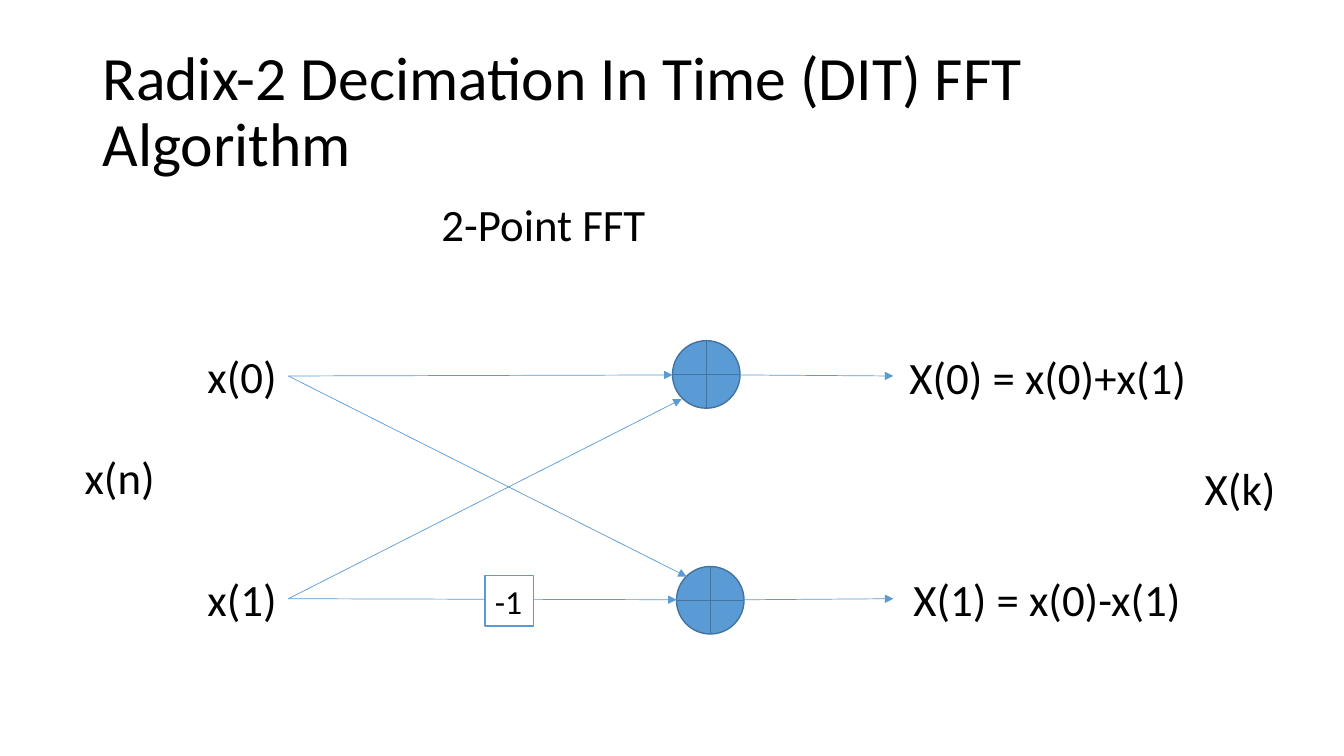
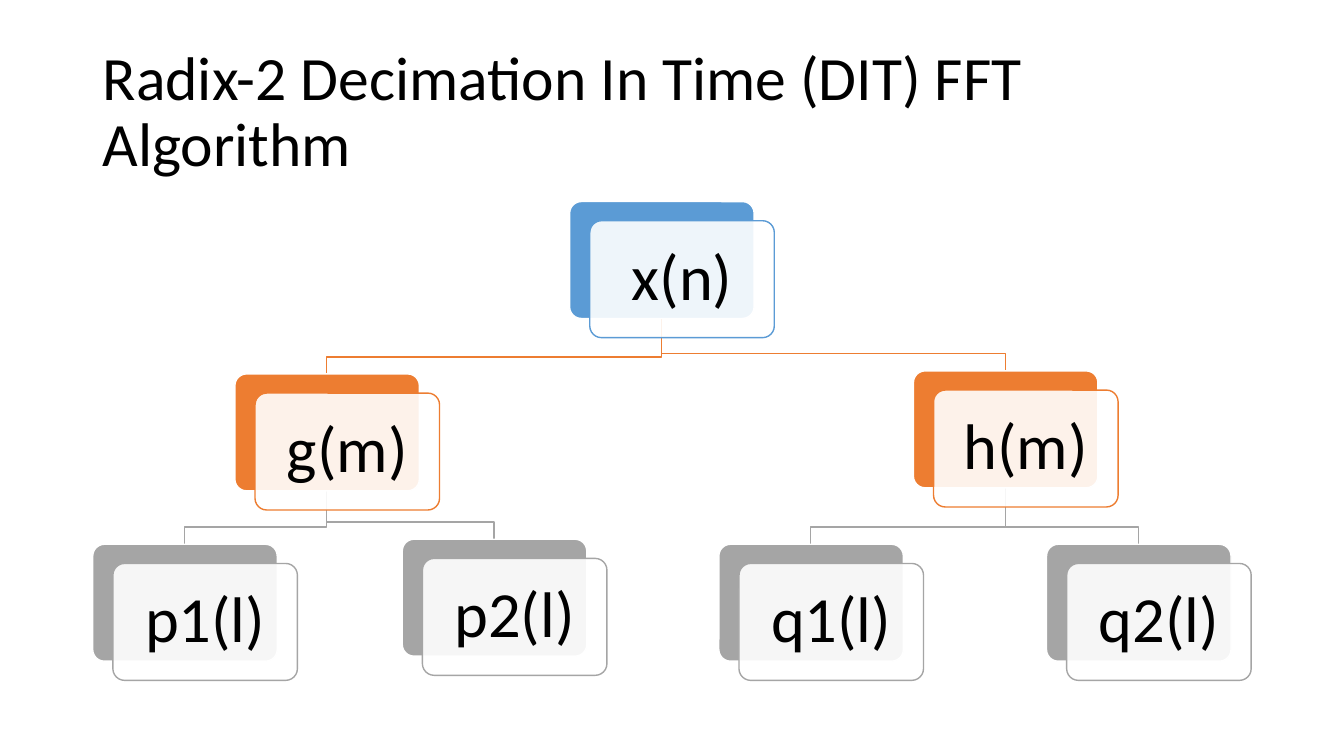
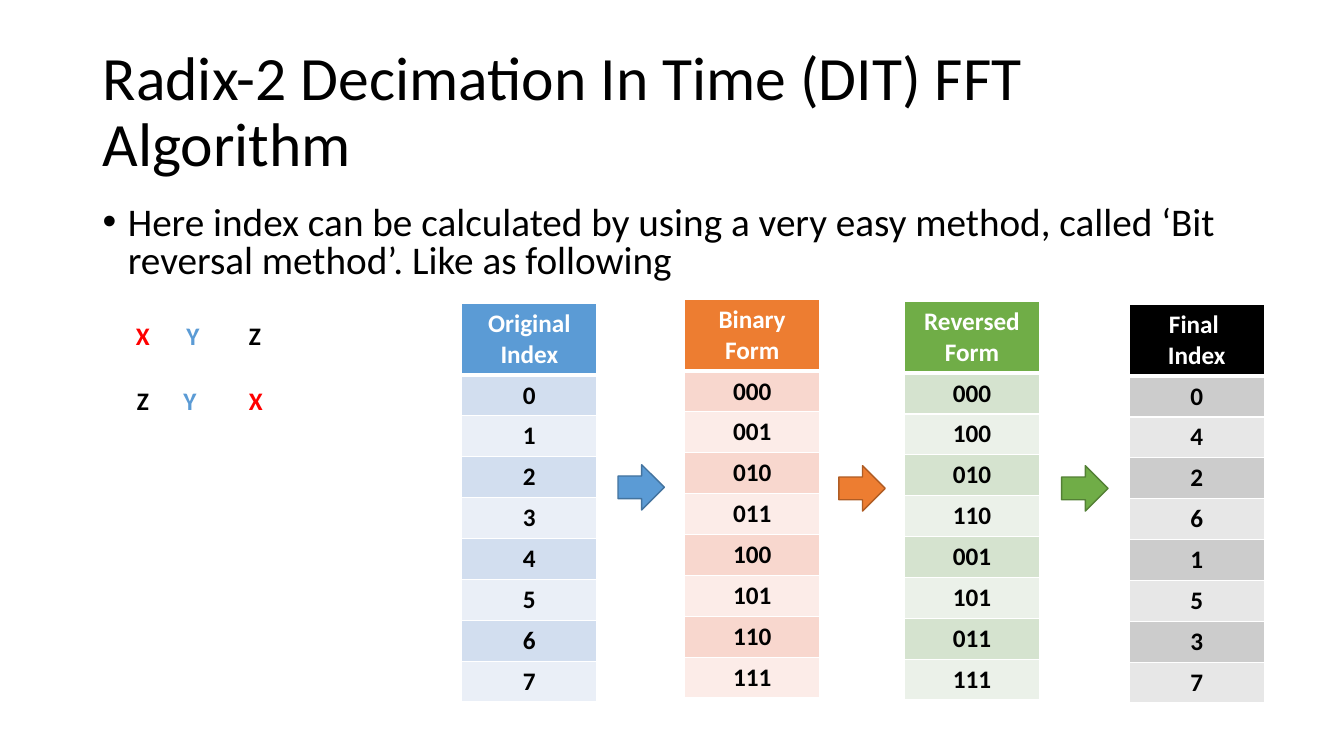
from dataclasses import dataclass

from lxml import etree
from pptx import Presentation
from pptx.dml.color import RGBColor
from pptx.enum.shapes import MSO_CONNECTOR, MSO_SHAPE
from pptx.enum.text import MSO_ANCHOR, MSO_AUTO_SIZE, PP_ALIGN
from pptx.oxml.ns import qn
from pptx.util import Emu, Pt

STRAIGHT = MSO_CONNECTOR.STRAIGHT
SUMMER, RECT = MSO_SHAPE.FLOWCHART_OR, MSO_SHAPE.RECTANGLE
ROUNDED, RIGHT_ARROW = MSO_SHAPE.ROUNDED_RECTANGLE, MSO_SHAPE.RIGHT_ARROW
LEFT, CENTER = PP_ALIGN.LEFT, PP_ALIGN.CENTER
TOP, MIDDLE = MSO_ANCHOR.TOP, MSO_ANCHOR.MIDDLE
GROW = MSO_AUTO_SIZE.SHAPE_TO_FIT_TEXT

EMU_PER_PX = 9144  # 100 px to the inch
FONT = "Calibri"
TITLE = "Radix-2 Decimation In Time (DIT) FFT Algorithm"
COLOURS = {
    "white": "FFFFFF", "black": "000000", "red": "FF0000",
    "blue": "5B9BD5", "blue_edge": "43739E", "blue_band": "D2DEEF", "blue_pale": "EAEFF7",
    "orange": "ED7D31", "orange_edge": "AF5C24", "orange_band": "F8D7CE", "orange_pale": "FCECE8",
    "green": "70AD47", "green_edge": "538035", "green_band": "D5E3CF", "green_pale": "EBF1E9",
    "black_band": "CCCCCC", "black_pale": "E7E7E7", "grey": "A5A5A5",
}


@dataclass(frozen=True)
class Label:
    text: str
    left: int
    top: int
    width: int
    height: int = 64
    size: int = 32
    colour: str = "black"
    bold: bool = False


@dataclass(frozen=True)
class Node:
    text: str
    left: int
    top: int
    colour: str
    children: tuple["Node", ...] = ()


@dataclass(frozen=True)
class IndexTable:
    header: str
    left: int
    top: int
    colour: str
    values: tuple[str, ...]


# ---- Shared helpers ----
def px(length: int) -> Emu:
    return Emu(length * EMU_PER_PX)


def rgb(name: str) -> RGBColor:
    return RGBColor.from_string(COLOURS[name])


def write_text(frame, text: str, *, size: int, colour: str = "black", bold: bool = False,
               align=LEFT, anchor=None, wrap=None, spacing=None, inset=None):
    """Write one paragraph into a text frame and return the paragraph."""
    if anchor is not None:
        frame.vertical_anchor = anchor
    if wrap is not None:
        frame.word_wrap = wrap
        frame.auto_size = MSO_AUTO_SIZE.NONE if wrap else GROW
    if inset is not None:
        frame.margin_left = frame.margin_right = px(inset)
        frame.margin_top = frame.margin_bottom = px(inset)
    paragraph = frame.paragraphs[0]
    paragraph.text = text
    paragraph.alignment = align
    if spacing is not None:
        paragraph.line_spacing = spacing
    for run in paragraph.runs:
        run.font.name = FONT
        run.font.size = Pt(size)
        run.font.bold = bold
        run.font.color.rgb = rgb(colour)
    return paragraph


def add_text(slide, left: int, top: int, width: int, height: int, text: str, **style):
    box = slide.shapes.add_textbox(px(left), px(top), px(width), px(height))
    return write_text(box.text_frame, text, **style)


def add_label(slide, label: Label) -> None:
    add_text(slide, label.left, label.top, label.width, label.height, label.text,
             size=label.size, colour=label.colour, bold=label.bold, anchor=TOP, wrap=False)


def add_shape(slide, kind, left: int, top: int, width: int, height: int, fill: str, edge: str):
    shape = slide.shapes.add_shape(kind, px(left), px(top), px(width), px(height))
    shape.shadow.inherit = False
    shape.fill.solid()
    shape.fill.fore_color.rgb = rgb(fill)
    shape.line.color.rgb = rgb(edge)
    shape.line.width = Pt(1)
    return shape


def add_arrow(slide, start: tuple[int, int], end: tuple[int, int]) -> None:
    arrow = slide.shapes.add_connector(STRAIGHT, *map(px, start + end))
    arrow.line.color.rgb = rgb("blue")
    arrow.line.width = Pt(0.5)
    etree.SubElement(arrow.line._get_or_add_ln(), qn("a:tailEnd"), type="triangle")
    etree.SubElement(arrow._element.spPr, qn("a:effectLst"))


def new_slide(deck):
    slide = deck.slides.add_slide(deck.slide_layouts[6])
    add_text(slide, 92, 40, 1150, 145, TITLE, size=44, anchor=MIDDLE, wrap=True, spacing=0.9)
    return slide


# ---- Slide 1: butterfly diagram ----
SIGNALS = (
    Label("x(0)", 196, 341, 90), Label("x(1)", 196, 562, 90), Label("x(n)", 74, 441, 91),
    Label("X(1) = x(0)-x(1)", 896, 562, 289), Label("X(0) = x(0)+x(1)", 892, 342, 298),
    Label("2-Point FFT", 428, 190, 225), Label("X(k)", 1185, 452, 91),
)
ADDERS = ((667, 338), (671, 562))
INPUTS = ((286, 373), (286, 594))
FLOWS = (
    (INPUTS[0], (667, 372)), (INPUTS[1], (671, 595)),
    (INPUTS[0], (681, 572)), (INPUTS[1], (676, 396)),
    ((734, 372), (886, 373)), ((738, 595), (886, 594)),
)


def butterfly_slide(deck) -> None:
    slide = new_slide(deck)
    for signal in SIGNALS:
        add_label(slide, signal)
    for left, top in ADDERS:
        add_shape(slide, SUMMER, left, top, 67, 67, "blue", "blue_edge")
    for start, end in FLOWS:
        add_arrow(slide, start, end)
    factor = add_shape(slide, RECT, 481, 571, 48, 50, "white", "blue")
    write_text(factor.text_frame, "-1", size=24, anchor=TOP, wrap=False)


# ---- Slide 2: decimation tree ----
CARD_W, CARD_H = 183, 116
CARD_SHIFT = (20, 19)
BEND = 17  # height of the bend above a child card
TREE = Node("x(n)", 565, 200, "blue", (
    Node("g(m)", 233, 371, "orange",
         (Node("p1(l)", 92, 540, "grey"), Node("p2(l)", 399, 535, "grey"))),
    Node("h(m)", 906, 368, "orange",
         (Node("q1(l)", 713, 540, "grey"), Node("q2(l)", 1038, 540, "grey"))),
))


def add_branches(slide, parent: Node) -> None:
    start_x, start_y = parent.left + CARD_W // 2, parent.top + CARD_H
    for child in parent.children:
        end_x, bend_y = child.left + CARD_W // 2, child.top - BEND
        builder = slide.shapes.build_freeform(start_x, start_y, scale=EMU_PER_PX)
        builder.add_line_segments(
            [(start_x, bend_y), (end_x, bend_y), (end_x, child.top)], close=False)
        branch = builder.convert_to_shape()
        branch.shadow.inherit = False
        branch.fill.background()
        branch.line.color.rgb = rgb(child.colour)
        branch.line.width = Pt(1)
        add_branches(slide, child)


def add_cards(slide, node: Node) -> None:
    shift_x, shift_y = CARD_SHIFT
    back = add_shape(slide, ROUNDED, node.left, node.top, CARD_W, CARD_H, node.colour, "white")
    front = add_shape(slide, ROUNDED, node.left + shift_x, node.top + shift_y,
                      CARD_W, CARD_H, "white", node.colour)
    for card in (back, front):
        card.adjustments[0] = 0.1
    tint = front._element.spPr.find(qn("a:solidFill"))[0]
    etree.SubElement(tint, qn("a:alpha"), val="90000")
    write_text(front.text_frame, node.text, size=46, align=CENTER, anchor=MIDDLE,
               wrap=True, spacing=0.9, inset=19)
    for child in node.children:
        add_cards(slide, child)


def tree_slide(deck) -> None:
    slide = new_slide(deck)
    add_branches(slide, TREE)
    add_cards(slide, TREE)


# ---- Slide 3: bit reversal ----
METHOD = ("Here index can be calculated by using a very easy method, "
          "called ‘Bit reversal method’. Like as following")
COLUMN_W, HEADER_H, ROW_H = 134, 70, 40
BINARY = tuple(f"{index:03b}" for index in range(8))
REVERSED = tuple(bits[::-1] for bits in BINARY)
TABLES = (
    IndexTable("Original Index", 458, 301, "blue", tuple(map(str, range(8)))),
    IndexTable("Binary Form", 679, 297, "orange", BINARY),
    IndexTable("Reversed Form", 897, 299, "green", REVERSED),
    IndexTable("Final \vIndex", 1120, 302, "black", tuple(str(int(b, 2)) for b in REVERSED)),
)
STEPS = ((613, 461, "blue"), (832, 462, "orange"), (1053, 462, "green"))
BIT_COLOURS = {"X": "red", "Y": "blue", "Z": "black"}
BIT_ROWS = (
    (313, (("X", 125), ("Y", 175), ("Z", 237))),
    (377, (("Z", 126), ("Y", 172), ("X", 237))),
)


def style_cell(cell, text: str, fill: str, colour: str, bottom: int) -> None:
    write_text(cell.text_frame, text, size=18, colour=colour, bold=True, align=CENTER)
    properties = cell._tc.get_or_add_tcPr()
    for side, width in (("L", 1), ("R", 1), ("T", 1), ("B", bottom)):
        border = etree.SubElement(properties, qn(f"a:ln{side}"), w=str(Pt(width)))
        paint = etree.SubElement(border, qn("a:solidFill"))
        etree.SubElement(paint, qn("a:srgbClr"), val=COLOURS["white"])
    cell.fill.solid()
    cell.fill.fore_color.rgb = rgb(fill)


def add_index_table(slide, spec_table: IndexTable) -> None:
    count = len(spec_table.values)
    table = slide.shapes.add_table(
        count + 1, 1, px(spec_table.left), px(spec_table.top),
        px(COLUMN_W), px(HEADER_H + count * ROW_H)).table
    table.horz_banding = False
    table.rows[0].height = px(HEADER_H)
    style_cell(table.cell(0, 0), spec_table.header, spec_table.colour, "white", 3)
    for row, value in enumerate(spec_table.values, start=1):
        table.rows[row].height = px(ROW_H)
        shade = "band" if row % 2 else "pale"
        style_cell(table.cell(row, 0), value, f"{spec_table.colour}_{shade}", "black", 1)


def bit_reversal_slide(deck) -> None:
    slide = new_slide(deck)
    method = add_text(slide, 92, 200, 1150, 90, METHOD, size=28, anchor=TOP,
                      wrap=True, spacing=0.8)
    method.space_before = Pt(10)
    properties = method._p.get_or_add_pPr()
    properties.set("marL", str(px(25)))
    properties.set("indent", str(px(-25)))
    etree.SubElement(properties, qn("a:buFont"), typeface="Arial")
    etree.SubElement(properties, qn("a:buChar"), char="•")
    for index_table in TABLES:
        add_index_table(slide, index_table)
    for left, top, colour in STEPS:
        add_shape(slide, RIGHT_ARROW, left, top, 46, 45, colour, f"{colour}_edge")
    for top, bits in BIT_ROWS:
        for bit, left in bits:
            add_label(slide, Label(bit, left, top, 33, 40, 18, BIT_COLOURS[bit], True))


def main() -> None:
    deck = Presentation()
    deck.slide_width, deck.slide_height = px(1333), px(750)
    butterfly_slide(deck)
    tree_slide(deck)
    bit_reversal_slide(deck)
    deck.save("out.pptx")


if __name__ == "__main__":
    main()
